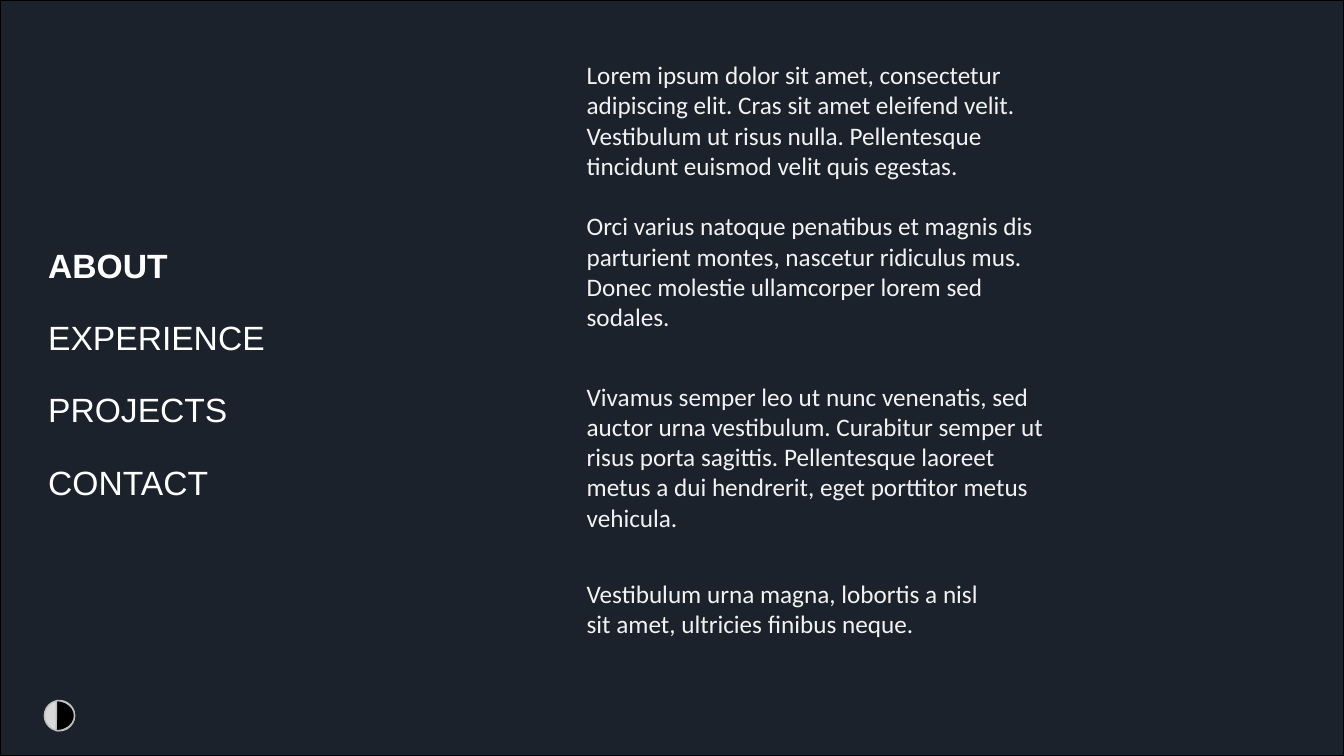
from dataclasses import dataclass

from pptx import Presentation
from pptx.dml.color import RGBColor
from pptx.enum.shapes import MSO_SHAPE
from pptx.enum.text import MSO_AUTO_SIZE
from pptx.util import Inches, Pt

RECT, OVAL, PIE = MSO_SHAPE.RECTANGLE, MSO_SHAPE.OVAL, MSO_SHAPE.PIE
GROW = MSO_AUTO_SIZE.SHAPE_TO_FIT_TEXT


@dataclass(frozen=True)
class Theme:
    """Colours, fonts and type sizes of the slide."""
    back: str = "1B222B"
    dark: str = "000000"
    light: str = "D9D9D9"
    rim: str = "BFBFBF"
    menu: str = "FFFFFF"
    body: str = "F2F2F2"
    menu_font: str = "Arial"
    body_font: str = "Calibri"
    menu_size: int = 24
    body_size: int = 18


THEME = Theme()

MENU = ["ABOUT", "EXPERIENCE", "PROJECTS", "CONTACT"]

STORY = [
    (0, 4.92, 1.31, "Lorem ipsum dolor sit amet, consectetur adipiscing elit. "
     "Cras sit amet eleifend velit. Vestibulum ut risus nulla. "
     "Pellentesque tincidunt euismod velit quis egestas."),
    (1.5, 4.83, 1.31, "Orci varius natoque penatibus et magnis dis parturient "
     "montes, nascetur ridiculus mus. Donec molestie ullamcorper lorem sed "
     "sodales."),
    (3.19, 4.92, 1.62, "Vivamus semper leo ut nunc venenatis, sed auctor urna "
     "vestibulum. Curabitur semper ut risus porta sagittis. Pellentesque "
     "laoreet metus a dui hendrerit, eget porttitor metus vehicula."),
    (5.15, 4.1, 0.71, "Vestibulum urna magna, lobortis a nisl sit amet, "
     "ultricies finibus neque."),
]


def add_text(slide, box, text, *, font, size, color, bold=False):
    """Place one wrapped paragraph in a text box."""
    frame = slide.shapes.add_textbox(*map(Inches, box)).text_frame
    frame.word_wrap = True
    frame.auto_size = GROW
    run = frame.paragraphs[0].add_run()
    run.text = text
    run.font.name = font
    run.font.size = Pt(size)
    run.font.bold = bold
    run.font.color.rgb = RGBColor.from_string(color)


def add_form(slide, kind, box, fill, line):
    """Place a filled preset shape with a thin outline."""
    form = slide.shapes.add_shape(kind, *map(Inches, box))
    form.shadow.inherit = False
    form.fill.solid()
    form.fill.fore_color.rgb = RGBColor.from_string(fill)
    form.line.color.rgb = RGBColor.from_string(line)
    form.line.width = Pt(1)
    return form


def draw_menu(slide, box):
    """Stack the menu entries evenly, with the current one in bold."""
    left, top, width, height = box
    row = 0.5
    step = (height - row) / (len(MENU) - 1)
    for i, name in enumerate(MENU):
        add_text(slide, (left, top + i * step, width, row), name,
                 font=THEME.menu_font, size=THEME.menu_size,
                 color=THEME.menu, bold=i == 0)


def draw_story(slide, left, top):
    """Place the body paragraphs down one column."""
    for drop, width, height, text in STORY:
        add_text(slide, (left, top + drop, width, height), text,
                 font=THEME.body_font, size=THEME.body_size, color=THEME.body)


def draw_switch(slide, box):
    """Draw the round light and dark switch."""
    left, top, width, height = box
    disc = (left + width - height, top, height, height)
    add_form(slide, OVAL, disc, THEME.light, THEME.rim)
    half = add_form(slide, PIE, box, THEME.dark, THEME.rim)
    half.adjustments[0] = 162
    half.adjustments[1] = 54.79


def build_about(deck):
    """Build the slide with its menu, story and switch."""
    slide = deck.slides.add_slide(deck.slide_layouts[6])
    add_form(slide, RECT, (0, 0, 13.33, 7.5), THEME.back, THEME.dark)
    draw_story(slide, 5.72, 0.54)
    draw_menu(slide, (0.38, 2.38, 2.4, 2.65))
    draw_switch(slide, (0.38, 6.95, 0.36, 0.3))


deck = Presentation()
deck.slide_width, deck.slide_height = Inches(13.33), Inches(7.5)
build_about(deck)
deck.save("out.pptx")
